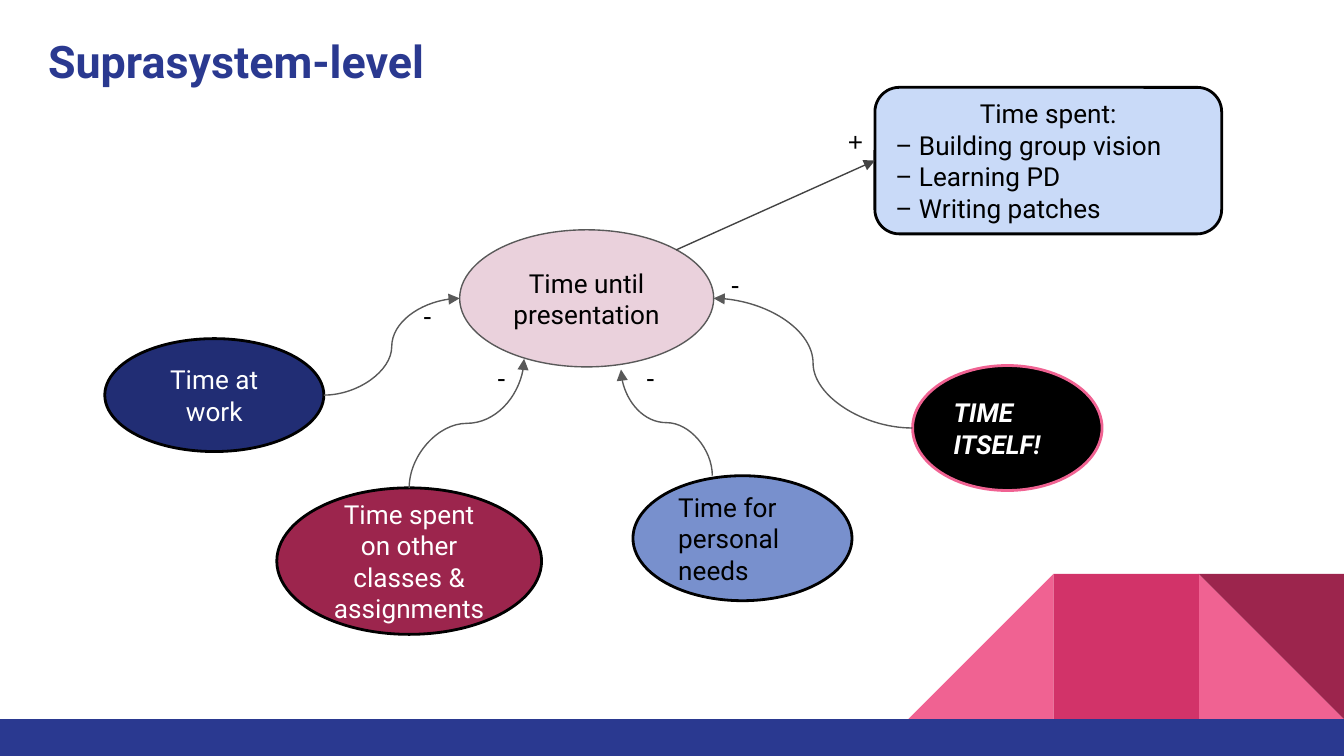
from pptx import Presentation
from pptx import util as u
from pptx.dml.color import RGBColor
from pptx.enum import shapes, text
from pptx.oxml import ns
from lxml import etree

# The slide is a grid of square cells, 100 columns by 56.25 rows.
CELL = u.Inches(0.1)
COLUMNS, ROWS = 100, 56.25

BLACK = RGBColor(0x00, 0x00, 0x00)
WHITE = RGBColor(0xFF, 0xFF, 0xFF)
BLUE = RGBColor(0x2A, 0x39, 0x90)
NAVY = RGBColor(0x21, 0x2D, 0x74)
PERIWINKLE = RGBColor(0x78, 0x90, 0xCD)
PALE_BLUE = RGBColor(0xC9, 0xDA, 0xF8)
PALE_PINK = RGBColor(0xEA, 0xD1, 0xDC)
PINK = RGBColor(0xF0, 0x62, 0x92)
ROSE = RGBColor(0xD2, 0x33, 0x69)
WINE = RGBColor(0x9C, 0x25, 0x4D)
GREY = RGBColor(0x59, 0x59, 0x59)
DARK_GREY = RGBColor(0x43, 0x43, 0x43)

SHAPE = shapes.MSO_SHAPE
CONNECTOR = shapes.MSO_CONNECTOR
LEFT, CENTER = text.PP_ALIGN.LEFT, text.PP_ALIGN.CENTER


def cells(*values):
    return [round(value * CELL) for value in values]


def write(shape, lines, alignments, anchor, color=BLACK, **font_format):
    """Fill the shape with one paragraph per line."""
    frame = shape.text_frame
    frame_format = {"word_wrap": True, "vertical_anchor": anchor}
    for side in ("left", "right", "top", "bottom"):
        frame_format[f"margin_{side}"] = CELL
    for name, value in frame_format.items():
        setattr(frame, name, value)
    frame.text = "\n".join(lines)
    font_format = {"size": u.Pt(14), "name": "Roboto", **font_format}
    for paragraph, alignment in zip(frame.paragraphs, alignments):
        paragraph.alignment = alignment
        for run in paragraph.runs:
            run.font.color.rgb = color
            for name, value in font_format.items():
                setattr(run.font, name, value)


def add_label(slide, box, label, **font_format):
    text_box = slide.shapes.add_textbox(*cells(*box))
    write(text_box, [label], [LEFT], text.MSO_ANCHOR.TOP, **font_format)


def add_block(slide, kind, box, fill, line=None, width=1.5):
    shape = slide.shapes.add_shape(kind, *cells(*box))
    shape.shadow.inherit = False
    shape.fill.solid()
    shape.fill.fore_color.rgb = fill
    if line is None:
        shape.line.fill.background()
    else:
        shape.line.color.rgb = line
        shape.line.width = u.Pt(width)
    return shape


def add_arrow(slide, kind, start, end, color=GREY, upward=False):
    """Draw an arrow; an upward curve leaves and arrives vertically."""
    (x1, y1), (x2, y2) = start, end
    if upward:
        # Lay the curve on its side about its middle, then turn it upright.
        middle_x, middle_y = (x1 + x2) / 2, (y1 + y2) / 2
        reach = (y1 - y2) / 2
        x1, y1, x2, y2 = (middle_x - reach, middle_y + x1 - middle_x,
                          middle_x + reach, middle_y + x2 - middle_x)
    arrow = slide.shapes.add_connector(kind, *cells(x1, y1, x2, y2))
    arrow.line.color.rgb = color
    arrow.line.width = u.Pt(0.75)
    properties = arrow.element.spPr
    if upward:
        properties.find(ns.qn("a:xfrm")).set("rot", str(270 * 60000))
    line = properties.find(ns.qn("a:ln"))
    etree.SubElement(line, ns.qn("a:tailEnd"), type="triangle")
    etree.SubElement(properties, ns.qn("a:effectLst"))


def add_footer(slide, box):
    """A bar along the bottom with triangles and a square on its right."""
    left, top, width, height = box
    bar = 2.75
    side = height - bar
    pieces = [
        (1, SHAPE.RIGHT_TRIANGLE, PINK, None),
        (3, SHAPE.RIGHT_TRIANGLE, PINK, "flip"),
        (2, SHAPE.RECTANGLE, ROSE, None),
        (1, SHAPE.RIGHT_TRIANGLE, WINE, "turn"),
    ]
    for place, kind, fill, change in pieces:
        piece = add_block(
            slide, kind, (left + width - place * side, top, side, side), fill)
        if change == "flip":
            piece.element.spPr.find(ns.qn("a:xfrm")).set("flipH", "1")
        elif change == "turn":
            piece.rotation = 180
    add_block(slide, SHAPE.RECTANGLE, (left, top + side, width, bar), BLUE)


def add_influence_diagram(slide, box):
    left, top, width, height = box

    def at(x, y):
        return left + x, top + y

    goal = (26.4, 10.6, 18.9, 10.2)
    work = (0, 18.7, 16.3, 8.4)
    classes = (12.8, 29.8, 19.7, 10.9)
    needs = (39.3, 28.9, 16.3, 9.3)
    itself = (60.1, 20.7, 14.1, 9.3)
    tasks = (width - 25.8, 0, 25.8, 10.9)

    ovals = [
        (goal, "Time until presentation", PALE_PINK, GREY, 0.75, CENTER, {}),
        (work, "Time at work", NAVY, BLACK, 1.5, CENTER, {"color": WHITE}),
        (classes, "Time spent on other classes & assignments", WINE, BLACK,
         1.5, CENTER, {"color": WHITE}),
        (needs, "Time for personal needs", PERIWINKLE, BLACK, 1.5, LEFT, {}),
        (itself, "TIME ITSELF!", BLACK, PINK, 1.5, LEFT,
         {"color": WHITE, "bold": True, "italic": True}),
    ]
    for (x, y, *size), label, fill, line, weight, alignment, font in ovals:
        oval = add_block(
            slide, SHAPE.OVAL, (*at(x, y), *size), fill, line, weight)
        write(oval, [label], [alignment], text.MSO_ANCHOR.MIDDLE, **font)

    x, y, *size = tasks
    task_list = add_block(
        slide, SHAPE.ROUNDED_RECTANGLE, (*at(x, y), *size), PALE_BLUE, BLACK)
    lines = ["Time spent:", "– Building group vision", "– Learning PD",
             "– Writing patches"]
    write(task_list, lines, [CENTER] + [LEFT] * 3, text.MSO_ANCHOR.MIDDLE)

    goal_middle = goal[1] + goal[3] / 2
    curves = [
        ((work[2], work[1] + work[3] / 2), (goal[0], goal_middle), False),
        ((classes[0] + classes[2] / 2, classes[1]), (31.2, 20.2), True),
        ((45.2, needs[1]), (38.4, 21), True),
        ((itself[0], itself[1] + itself[3] / 2),
         (goal[0] + goal[2], goal_middle), False),
    ]
    for start, end, upward in curves:
        add_arrow(slide, CONNECTOR.CURVE, at(*start), at(*end), upward=upward)
    add_arrow(slide, CONNECTOR.STRAIGHT, at(42.5, 12.1),
              at(tasks[0], tasks[3] / 2), DARK_GREY)

    minus_places = [(22.7, 14.8), (28.2, 19.4), (39.3, 19.4), (45.6, 12.5)]
    for place in minus_places:
        add_label(slide, (*at(*place), 3.7, 4.5), "-", name="Arial")
    add_label(slide, (*at(tasks[0] - 3, 1.8), 3, 3.8), "+", name="Arial")


def main():
    presentation = Presentation()
    presentation.slide_width, presentation.slide_height = cells(COLUMNS, ROWS)
    slide = presentation.slides.add_slide(presentation.slide_layouts[6])
    add_footer(slide, (0, 42.7, COLUMNS, ROWS - 42.7))
    add_label(slide, (2.6, 1.5, 43.7, 5.1), "Suprasystem-level",
              color=BLUE, size=u.Pt(24), bold=True)
    add_influence_diagram(slide, (7.8, 6.5, 83.1, 40.7))
    presentation.save("out.pptx")


if __name__ == "__main__":
    main()
